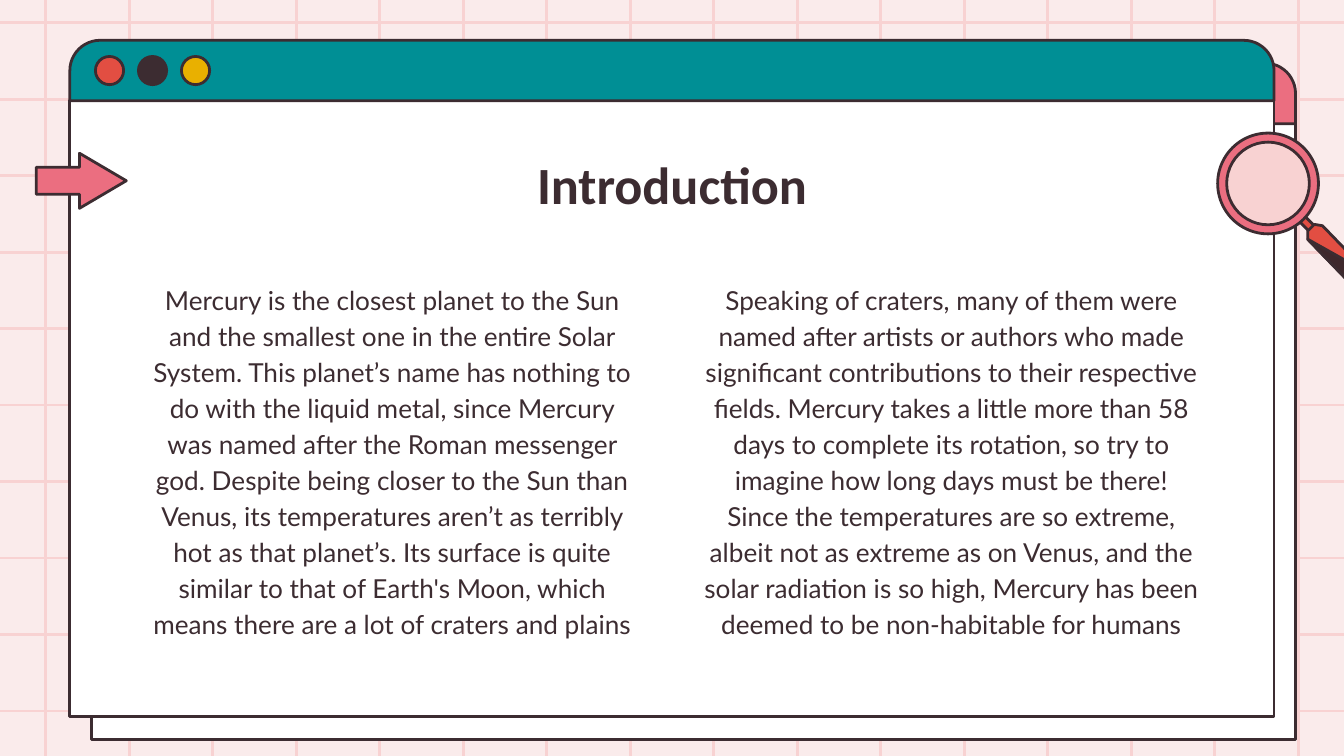
from typing import NamedTuple

from lxml.etree import SubElement, Element
from pptx import Presentation
from pptx.dml.color import RGBColor
from pptx.enum.shapes import MSO_CONNECTOR as Link, MSO_SHAPE as Kind
from pptx.enum.text import MSO_ANCHOR as Anchor, MSO_AUTO_SIZE as Fit, PP_ALIGN as Align
from pptx.oxml.ns import qn
from pptx.util import Inches, Pt

INK, RED, GOLD = "3C2C31", "E24E42", "E9B000"
PINK, PALE, TEAL, WHITE = "EB6E80", "F8D2D2", "008F95", "FFFFFF"


class Box(NamedTuple):
    left: float
    top: float
    width: float
    height: float


class Pane(NamedTuple):
    left: float
    top: float
    bar: str


class Part(NamedTuple):
    kind: Kind
    box: Box
    fill: str
    adjust: tuple[float, ...] = ()


class Block(NamedTuple):
    slot: int
    box: Box
    text: str
    font: str
    size: int
    bold: bool
    space: float


class Blade(NamedTuple):
    fill: str
    points: list[tuple[float, float]]


PANES = [Pane(0.68, 0.47, PINK), Pane(0.52, 0.3, TEAL)]

BLOCKS = [
    Block(1, Box(0.98, 1.98, 3.88, 2.88),
          "Mercury is the closest planet to the Sun and the smallest one in the entire "
          "Solar System. This planet’s name has nothing to do with the liquid metal, "
          "since Mercury was named after the Roman messenger god. Despite being closer "
          "to the Sun than Venus, its temperatures aren’t as terribly hot as that "
          "planet’s. Its surface is quite similar to that of Earth's Moon, which means "
          "there are a lot of craters and plains", "Lato", 14, False, 1.15),
    Block(0, Box(0.98, 1.03, 8.04, 0.63), "Introduction", "Calibri", 28, True, 1.0),
    Block(2, Box(5.14, 1.98, 3.88, 2.88),
          "Speaking of craters, many of them were named after artists or authors who "
          "made significant contributions to their respective fields. Mercury takes a "
          "little more than 58 days to complete its rotation, so try to imagine how "
          "long days must be there! Since the temperatures are so extreme, albeit not "
          "as extreme as on Venus, and the solar radiation is so high, Mercury has been "
          "deemed to be non-habitable for humans", "Lato", 14, False, 1.15),
]

TIP = [(10.14, 2.01), (10.13, 2.04), (10.08, 2.08), (10.05, 2.1), (10.02, 2.08), (9.73, 1.78)]
BLADES = [
    Blade(RED, [(9.77, 1.75), (9.81, 1.71), (9.7, 1.6), (9.66, 1.64)]),
    Blade(RED, TIP + [(9.73, 1.72), (9.78, 1.67), (9.84, 1.68), (10.13, 1.98)]),
    Blade("3E282C", TIP),
]

PARTS = [
    Part(Kind.OVAL, Box(9.1, 1.03, 0.67, 0.67), PALE),
    Part(Kind.DONUT, Box(9.06, 0.99, 0.75, 0.75), PINK, (0.09,)),
    Part(Kind.RIGHT_ARROW, Box(0.27, 1.14, 0.67, 0.41), PINK, (0.49, 0.85)),
]


def color(code: str) -> RGBColor:
    return RGBColor.from_string(code)


def paint(shape, fill: str) -> None:
    shape.shadow.inherit = False
    shape.fill.solid()
    shape.fill.fore_color.rgb = color(fill)
    shape.line.color.rgb = color(INK)
    shape.line.width = Pt(1.5)


def draw_part(slide, part: Part) -> None:
    shape = slide.shapes.add_shape(part.kind, *map(Inches, part.box))
    for i, value in enumerate(part.adjust):
        shape.adjustments[i] = value
    paint(shape, part.fill)


def draw_line(slide, *ends: float) -> None:
    line = slide.shapes.add_connector(Link.STRAIGHT, *map(Inches, ends))
    line.line.color.rgb = color(PALE)
    line.line.width = Pt(1.5)
    SubElement(line.element.find(qn("p:spPr")), qn("a:effectLst"))


def draw_grid(slide) -> None:
    for i in range(16):
        x = 0.34 + i * 9.32 / 15
        draw_line(slide, x, 5.82, x, -0.36)
    for i in range(10):
        y = 0.17 + i * 5.12 / 9
        draw_line(slide, -0.22, y, 10.22, y)


def draw_pane(slide, pane: Pane) -> None:
    left, top, bar = pane
    draw_part(slide, Part(Kind.RECTANGLE, Box(left, top + 0.45, 8.96, 4.58), WHITE))
    draw_part(slide, Part(Kind.ROUND_2_SAME_RECTANGLE, Box(left, top, 8.96, 0.45), bar, (0.5, 0)))
    for i, fill in enumerate((RED, INK, GOLD)):
        draw_part(slide, Part(Kind.OVAL, Box(left + 0.19 + i * 0.32, top + 0.12, 0.21, 0.21), fill))


def draw_blade(slide, blade: Blade) -> None:
    start, *rest = [(Inches(x), Inches(y)) for x, y in blade.points]
    outline = slide.shapes.build_freeform(*start)
    outline.add_line_segments(rest, close=True)
    paint(outline.convert_to_shape(), blade.fill)


def set_block(slide, block: Block) -> None:
    shape = slide.placeholders[block.slot]
    shape.left, shape.top, shape.width, shape.height = map(Inches, block.box)
    frame = shape.text_frame
    frame.text = block.text
    frame.word_wrap = True
    frame.auto_size = Fit.NONE
    frame.vertical_anchor = Anchor.TOP
    frame.margin_left = frame.margin_right = Inches(0.1)
    frame.margin_top = frame.margin_bottom = Inches(0.1)
    para = frame.paragraphs[0]
    para.alignment = Align.CENTER
    para.line_spacing = block.space
    para.space_before = Pt(0)
    para.font.name = block.font
    para.font.size = Pt(block.size)
    para.font.bold = block.bold
    para.font.color.rgb = color(INK)
    for props in shape.element.iter(qn("a:pPr")):
        props.set("marL", "0")
        props.set("indent", "0")
        props.find(qn("a:defRPr")).addprevious(Element(qn("a:buNone")))
    shape.element.getparent().append(shape.element)


def main() -> None:
    deck = Presentation()
    deck.slide_width = Inches(10)
    deck.slide_height = Inches(10) * 9 // 16
    slide = deck.slides.add_slide(deck.slide_layouts[3])
    slide.background.fill.solid()
    slide.background.fill.fore_color.rgb = color("FAEBEB")
    draw_grid(slide)
    for pane in PANES:
        draw_pane(slide, pane)
    for block in BLOCKS:
        set_block(slide, block)
    for blade in BLADES:
        draw_blade(slide, blade)
    for part in PARTS:
        draw_part(slide, part)
    deck.save("out.pptx")


if __name__ == "__main__":
    main()
